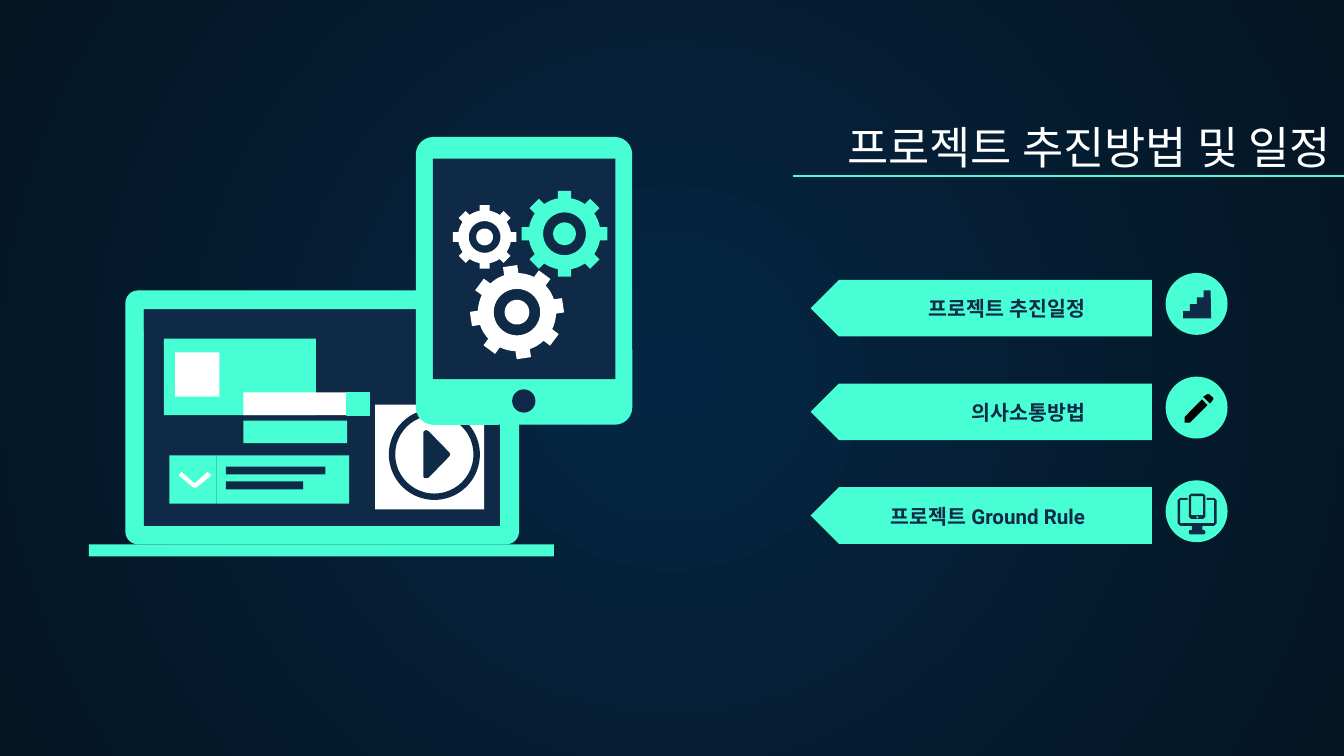
import math

import lxml.etree
import pptx
import pptx.dml.color
import pptx.enum.shapes
import pptx.enum.text
import pptx.oxml
import pptx.oxml.ns
import pptx.util

Cm = pptx.util.Cm
Shape = pptx.enum.shapes.MSO_SHAPE
MINT = pptx.dml.color.RGBColor(0x48, 0xFF, 0xD5)
NAVY = pptx.dml.color.RGBColor(0x0E, 0x2A, 0x47)
WHITE = pptx.dml.color.RGBColor(0xFF, 0xFF, 0xFF)
BLACK = pptx.dml.color.RGBColor(0x00, 0x00, 0x00)
GLOW = pptx.dml.color.RGBColor(0x05, 0x26, 0x43)
NIGHT = pptx.dml.color.RGBColor(0x04, 0x15, 0x23)
FONT = "Roboto"


def paint(shape, color):
    shape.shadow.inherit = False
    shape.fill.solid()
    shape.fill.fore_color.rgb = color
    shape.line.fill.background()
    return shape


def add_preset(page, kind, left, top, width, height, color, adjust=None):
    shape = page.shapes.add_shape(kind, Cm(left), Cm(top), Cm(width), Cm(height))
    if adjust is not None:
        shape.adjustments[0] = adjust
    return paint(shape, color)


def add_outline(page, left, top, contours, color):
    """Fill closed contours, given in cm from (left, top); inner ones become holes."""
    builder = None
    for contour in contours:
        points = [(Cm(x), Cm(y)) for x, y in contour]
        if builder is None:
            builder = page.shapes.build_freeform(*points[0])
        else:
            builder.move_to(*points[0])
        builder.add_line_segments(points[1:], close=True)
    return paint(builder.convert_to_shape(Cm(left), Cm(top)), color)


def add_label(page, left, top, width, height, text, size, color, bold=False):
    box = page.shapes.add_textbox(Cm(left), Cm(top), Cm(width), Cm(height))
    frame = box.text_frame
    frame.word_wrap = True
    frame.vertical_anchor = pptx.enum.text.MSO_ANCHOR.BOTTOM
    frame.margin_left = frame.margin_right = Cm(0.25)
    frame.margin_top = frame.margin_bottom = Cm(0.25)
    frame.text = text
    para = frame.paragraphs[0]
    para.alignment = pptx.enum.text.PP_ALIGN.RIGHT
    font = para.runs[0].font
    font.name, font.size, font.bold = FONT, pptx.util.Pt(size), bold
    font.color.rgb = color


def polar(x, y, radius, degrees):
    angle = math.radians(degrees)
    return x + radius * math.sin(angle), y - radius * math.cos(angle)


def circle(x, y, radius):
    return [polar(x, y, radius, step * 10) for step in range(36)]


def add_gear(page, left, top, x, y, radius, color, turn=0):
    """Draw an eight-toothed gear with a ring-shaped hole around its hub."""
    body, half_tooth = 0.84 * radius, 0.155 * radius
    base = math.degrees(math.asin(half_tooth / body))
    tip = math.degrees(math.atan(half_tooth / radius))
    tip_radius = math.hypot(radius, half_tooth)
    rim = []
    for tooth in range(8):
        angle = turn + tooth * 45
        rim += [polar(x, y, body, angle - base), polar(x, y, tip_radius, angle - tip),
                polar(x, y, tip_radius, angle + tip)]
        gap = 45 - 2 * base
        rim += [polar(x, y, body, angle + base + gap * part / 4) for part in range(4)]
    contours = [rim, circle(x, y, 0.5 * radius), circle(x, y, 0.265 * radius)]
    add_outline(page, left, top, contours, color)


def set_background(page):
    fill = page.background.fill
    fill.gradient()
    for stop, color in zip(fill.gradient_stops, (GLOW, NIGHT)):
        stop.color.rgb = color
    gradient = page.background._cSld.find(".//" + pptx.oxml.ns.qn("a:gradFill"))
    gradient.remove(gradient.find(pptx.oxml.ns.qn("a:lin")))
    gradient.append(pptx.oxml.parse_xml(
        '<a:path xmlns:a="http://schemas.openxmlformats.org/drawingml/2006/main" path="circle">'
        '<a:fillToRect l="50000" t="50000" r="50000" b="50000"/></a:path>'))


def draw_heading(page, left, top, width, height):
    add_label(page, left, top, width, height, "프로젝트 추진방법 및 일정", 24, WHITE)
    rule_y = Cm(top + 1.48)
    rule = page.shapes.add_connector(pptx.enum.shapes.MSO_CONNECTOR.STRAIGHT,
                                     Cm(left + 2.57), rule_y, Cm(left + width), rule_y)
    rule.line.color.rgb = MINT
    rule.line.width = pptx.util.Pt(0.75)
    lxml.etree.SubElement(rule._element.spPr, pptx.oxml.ns.qn("a:effectLst"))


def draw_laptop(page, left, top):
    add_preset(page, Shape.ROUNDED_RECTANGLE, left + 0.69, top, 7.44, 4.8, MINT, 0.05)
    panels = [
        (1.04, 0.36, 6.73, 4.09, NAVY),  # screen
        (0, 4.8, 8.79, 0.23, MINT),  # base
        (1.04, 0.36, 6.73, 0.39, NAVY),  # title bar
        (1.42, 0.91, 2.87, 1.45, MINT),  # card
        (1.63, 1.17, 0.84, 0.84, WHITE),  # thumbnail
        (2.41, 3.12, 2.51, 0.91, MINT),  # task
        (2.59, 3.33, 1.88, 0.15, NAVY),
        (2.59, 3.61, 1.46, 0.15, NAVY),
        (1.52, 3.12, 0.89, 0.91, MINT),  # check field
        (2.92, 2.46, 1.96, 0.43, MINT),  # lower bar
        (2.92, 1.93, 1.96, 0.43, WHITE),  # search bar
        (4.88, 1.93, 0.43, 0.43, MINT),  # search button
        (5.41, 2.16, 2.06, 1.98, WHITE),  # video
    ]
    for x, y, width, height, color in panels:
        panel = add_preset(page, Shape.RECTANGLE, left + x, top + y, width, height, color)
        if width == 0.43:
            panel.line.color.rgb = MINT
            panel.line.width = pptx.util.Pt(0.75)
    check = [(0.05, 0), (0.3, 0.22), (0.54, 0), (0.61, 0.07), (0.33, 0.3), (0.28, 0.3), (0, 0.07)]
    add_outline(page, left + 1.7, top + 3.43, [check], WHITE)
    add_preset(page, Shape.DONUT, left + 5.67, top + 2.24, 1.72, 1.72, NAVY, 0.07)
    play = [(0.05, 0), (0.1, 0.02), (0.49, 0.42), (0.51, 0.46), (0.49, 0.5), (0.1, 0.9),
            (0.05, 0.91), (0.01, 0.9), (0, 0.86), (0, 0.06), (0.01, 0.02)]
    add_outline(page, left + 6.32, top + 2.64, [play], NAVY)


def draw_tablet(page, left, top):
    add_preset(page, Shape.ROUNDED_RECTANGLE, left, top, 4.09, 5.44, MINT, 0.08)
    add_preset(page, Shape.RECTANGLE, left + 0.32, top + 0.41, 3.45, 4.17, NAVY)
    add_preset(page, Shape.OVAL, left + 1.82, top + 4.77, 0.44, 0.44, NAVY)
    add_gear(page, left, top, 2.81, 1.83, 0.81, MINT)
    add_gear(page, left, top, 1.3, 1.89, 0.6, WHITE)
    add_gear(page, left, top, 1.91, 3.31, 0.88, WHITE, -8.5)


def draw_stairs(page, left, top):
    steps = [(0.86, 0.86), (0.33, 0.86)]
    for step in range(4):
        x, y = 0.33 + 0.13 * step, 0.72 - 0.13 * step
        steps += [(x, y), (x + 0.13, y)]
    add_outline(page, left, top, [steps], NAVY)


def draw_pencil(page, left, top):
    eraser = [(0.79, 0.33), (0.71, 0.38), (0.84, 0.51), (0.9, 0.43), (0.9, 0.4), (0.82, 0.33)]
    shaft = [(0.69, 0.43), (0.36, 0.76), (0.36, 0.87), (0.46, 0.87), (0.79, 0.54)]
    add_outline(page, left, top, [eraser, shaft], BLACK)


def draw_devices(page, left, top):
    half = [(0.18, 0.33), (0.32, 0.33), (0.37, 0.38), (0.37, 0.81), (0.32, 0.86), (0.1, 0.86),
            (0.1, 0.94), (0.14, 0.94), (0.16, 0.98), (0.14, 1.02)]
    inner = [(0.32, 0.81), (0.32, 0.37), (0.18, 0.37)]
    right = inner + half
    monitor = [(0.595 + x, y) for x, y in right]
    monitor += [(0.595 - x, y) for x, y in reversed(right)]
    add_outline(page, left, top, [monitor], NAVY)
    case = [(0.48, 0.25), (0.71, 0.25), (0.75, 0.29), (0.75, 0.69),
            (0.71, 0.73), (0.48, 0.73), (0.44, 0.69), (0.44, 0.29)]
    screen = [(0.48, 0.3), (0.71, 0.3), (0.71, 0.66), (0.48, 0.66)]
    add_outline(page, left, top, [case, screen, circle(0.6, 0.7, 0.02)], NAVY)


def draw_topic(page, left, top, text, draw_icon):
    arrow = add_preset(page, Shape.PENTAGON, left + 0.33, top + 0.13, 6.45, 1.07, MINT, 0.5)
    arrow.rotation = 180
    add_label(page, left, top + 0.61, 5.77, 0.53, text, 11, NAVY, bold=True)
    add_preset(page, Shape.OVAL, left + 7.04, top, 1.17, 1.17, MINT)
    draw_icon(page, left + 7.04, top)


def main():
    deck = pptx.Presentation()
    deck.slide_width, deck.slide_height = Cm(25.4), Cm(14.29)
    page = deck.slides.add_slide(deck.slide_layouts[6])
    set_background(page)
    draw_heading(page, 12.42, 1.85, 12.98, 1.68)
    draw_laptop(page, 1.68, 5.49)
    draw_tablet(page, 7.86, 2.59)
    topics = [("프로젝트 추진일정", draw_stairs), ("의사소통방법", draw_pencil),
              ("프로젝트 Ground Rule", draw_devices)]
    for row, (text, draw_icon) in enumerate(topics):
        draw_topic(page, 14.99, 5.16 + 1.96 * row, text, draw_icon)
    deck.save("out.pptx")


if __name__ == "__main__":
    main()
